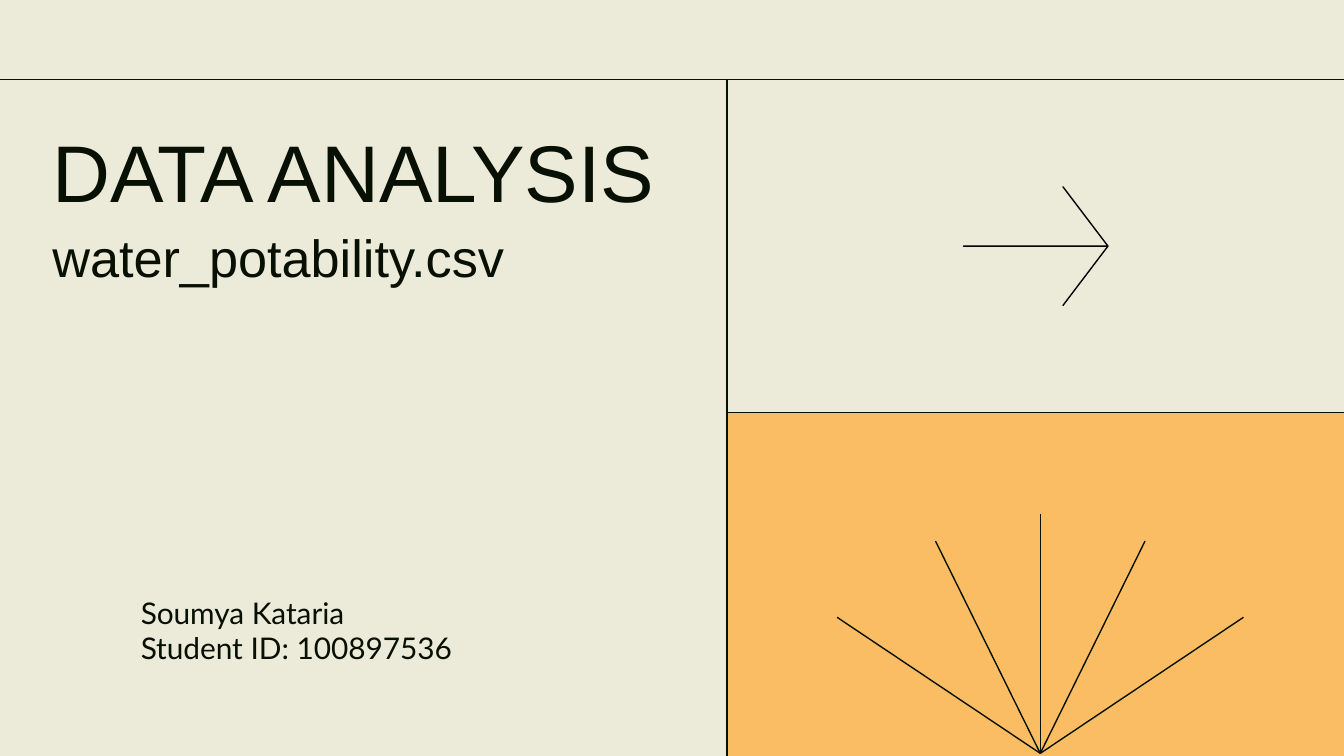
from dataclasses import dataclass
from typing import NamedTuple

from pptx import Presentation
from pptx.dml.color import RGBColor
from pptx.enum.shapes import MSO_CONNECTOR, MSO_SHAPE
from pptx.enum.text import MSO_ANCHOR, MSO_AUTO_SIZE, PP_ALIGN
from pptx.oxml.ns import qn
from pptx.util import Cm, Pt
from lxml.etree import SubElement


@dataclass(frozen=True)
class Theme:
    background: RGBColor = RGBColor(0xEC, 0xEB, 0xDA)
    ink: RGBColor = RGBColor(0x08, 0x10, 0x04)
    accent: RGBColor = RGBColor(0xFA, 0xBD, 0x63)
    arrow: RGBColor = RGBColor(0, 0, 0)
    heading_font: str = "Arial"
    body_font: str = "Lato"
    title_size: Pt = Pt(43)
    file_size: Pt = Pt(28)
    body_size: Pt = Pt(16)
    line_width: Pt = Pt(0.75)


class Point(NamedTuple):
    """A position on the slide in centimetres."""
    x: float
    y: float


class Box(NamedTuple):
    """A frame on the slide in centimetres."""
    left: float
    top: float
    width: float
    height: float


class TextLine(NamedTuple):
    text: str
    size: Pt


THEME = Theme()
WIDTH, HEIGHT = 25.4, 14.28
HEADER_Y = 1.5
COLUMN_X = 13.74
PANEL_Y = 7.79


def draw_line(slide, start: Point, end: Point, color: RGBColor = THEME.ink) -> None:
    line = slide.shapes.add_connector(
        MSO_CONNECTOR.STRAIGHT, Cm(start.x), Cm(start.y), Cm(end.x), Cm(end.y))
    line.line.color.rgb = color
    line.line.width = THEME.line_width
    SubElement(line._element.spPr, qn("a:effectLst"))


def fill_placeholder(placeholder, box: Box, lines: list[TextLine], font: str,
                     anchor: MSO_ANCHOR, spacing: float, indent: float = 0) -> None:
    """Place a placeholder and write its lines as one left-aligned paragraph."""
    placeholder.left, placeholder.top, placeholder.width, placeholder.height = map(Cm, box)
    frame = placeholder.text_frame
    frame.word_wrap = True
    frame.auto_size = MSO_AUTO_SIZE.NONE
    frame.vertical_anchor = anchor
    frame.margin_left = frame.margin_right = Cm(0.25)
    frame.margin_top = frame.margin_bottom = Cm(0.25)
    paragraph = frame.paragraphs[0]
    paragraph.alignment = PP_ALIGN.LEFT
    paragraph.line_spacing = spacing
    paragraph.space_before = Pt(0)
    properties = paragraph._p.get_or_add_pPr()
    properties.set("marL", str(Cm(indent)))
    properties.set("indent", "0")
    for index, line in enumerate(lines):
        if index:
            paragraph.add_line_break()
        run = paragraph.add_run()
        run.text = line.text
        run.font.name = font
        run.font.size = line.size
        run.font.color.rgb = THEME.ink


def draw_panel(slide) -> None:
    panel = slide.shapes.add_shape(
        MSO_SHAPE.RECTANGLE, Cm(COLUMN_X), Cm(PANEL_Y),
        Cm(WIDTH - COLUMN_X), Cm(HEIGHT - PANEL_Y))
    panel.shadow.inherit = False
    panel.fill.solid()
    panel.fill.fore_color.rgb = THEME.accent
    panel.line.fill.background()


def draw_arrow(slide, tail: Point, tip: Point, barb: Point) -> None:
    """Draw a thin open arrow; barb is the head's size back from the tip."""
    head_x = tip.x - barb.x
    outline = [(head_x, tip.y - barb.y), tip, tail, tip, (head_x, tip.y + barb.y), tip]
    points = [(Cm(x), Cm(y)) for x, y in outline]
    builder = slide.shapes.build_freeform(*points[0])
    builder.add_line_segments(points[1:], close=True)
    arrow = builder.convert_to_shape()
    arrow.shadow.inherit = False
    arrow.fill.solid()
    arrow.fill.fore_color.rgb = THEME.arrow
    arrow.line.color.rgb = THEME.arrow
    arrow.line.width = THEME.line_width


def draw_rays(slide, origin: Point) -> None:
    """Draw rays that fan upwards, mirrored about the vertical one."""
    for across, up in ((-3.84, 2.57), (-1.98, 4.01), (0, 4.52), (1.98, 4.01), (3.84, 2.57)):
        draw_line(slide, origin, Point(origin.x + across, origin.y - up))


def main() -> None:
    presentation = Presentation()
    presentation.slide_width, presentation.slide_height = Cm(WIDTH), Cm(HEIGHT)
    slide = presentation.slides.add_slide(presentation.slide_layouts[0])
    slide.background.fill.solid()
    slide.background.fill.fore_color.rgb = THEME.background

    fill_placeholder(
        slide.shapes.title, Box(0.74, 1.88, 13.61, 7.82),
        [TextLine("DATA ANALYSIS", THEME.title_size),
         TextLine("water_potability.csv", THEME.file_size)],
        THEME.heading_font, MSO_ANCHOR.TOP, spacing=1.1)
    fill_placeholder(
        slide.placeholders[1], Box(1.98, 10.49, 8.03, 2.34),
        [TextLine("Soumya Kataria", THEME.body_size),
         TextLine("Student ID: 100897536", THEME.body_size)],
        THEME.body_font, MSO_ANCHOR.BOTTOM, spacing=1.0, indent=0.43)

    draw_panel(slide)
    draw_line(slide, Point(0, HEADER_Y), Point(WIDTH, HEADER_Y))
    draw_line(slide, Point(COLUMN_X, HEADER_Y), Point(COLUMN_X, HEIGHT))
    draw_line(slide, Point(COLUMN_X, PANEL_Y), Point(WIDTH, PANEL_Y))
    draw_arrow(slide, Point(18.21, 4.65), Point(20.94, 4.65), Point(0.85, 1.12))
    draw_rays(slide, Point(19.66, 14.23))
    presentation.save("out.pptx")


if __name__ == "__main__":
    main()
